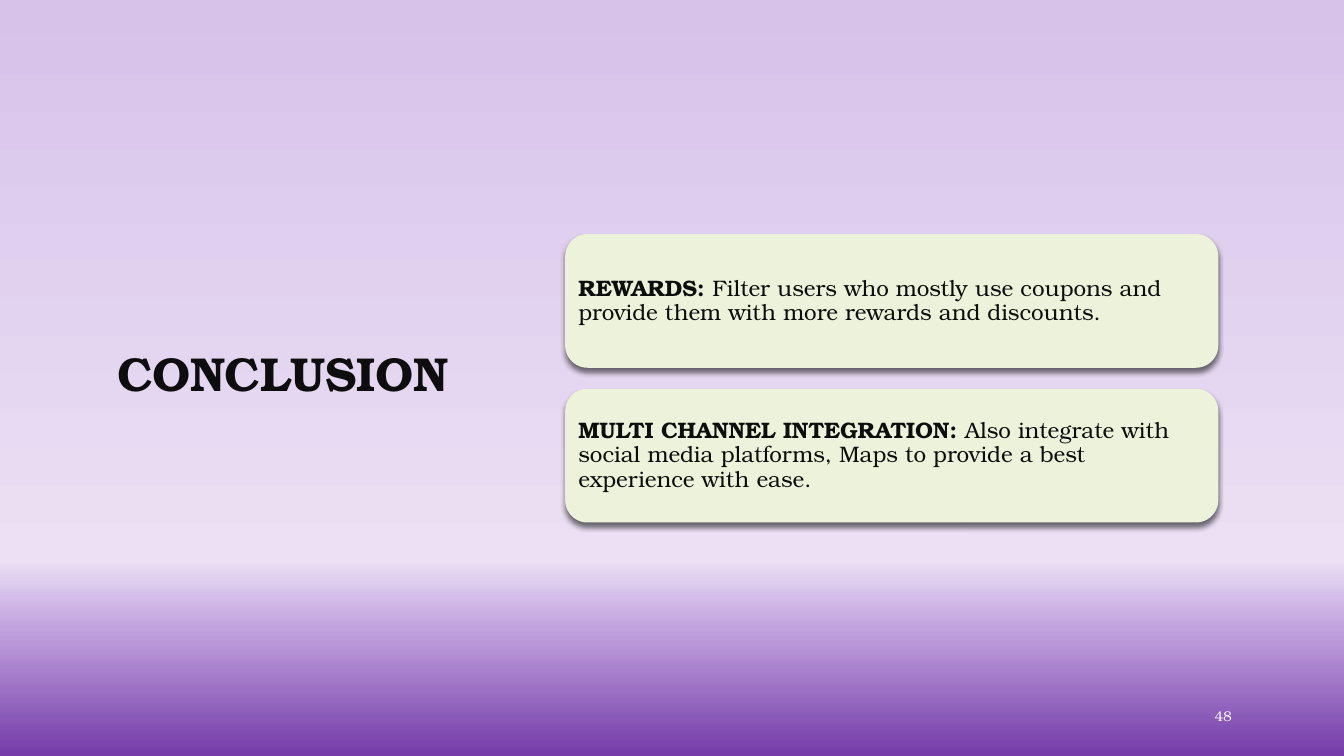
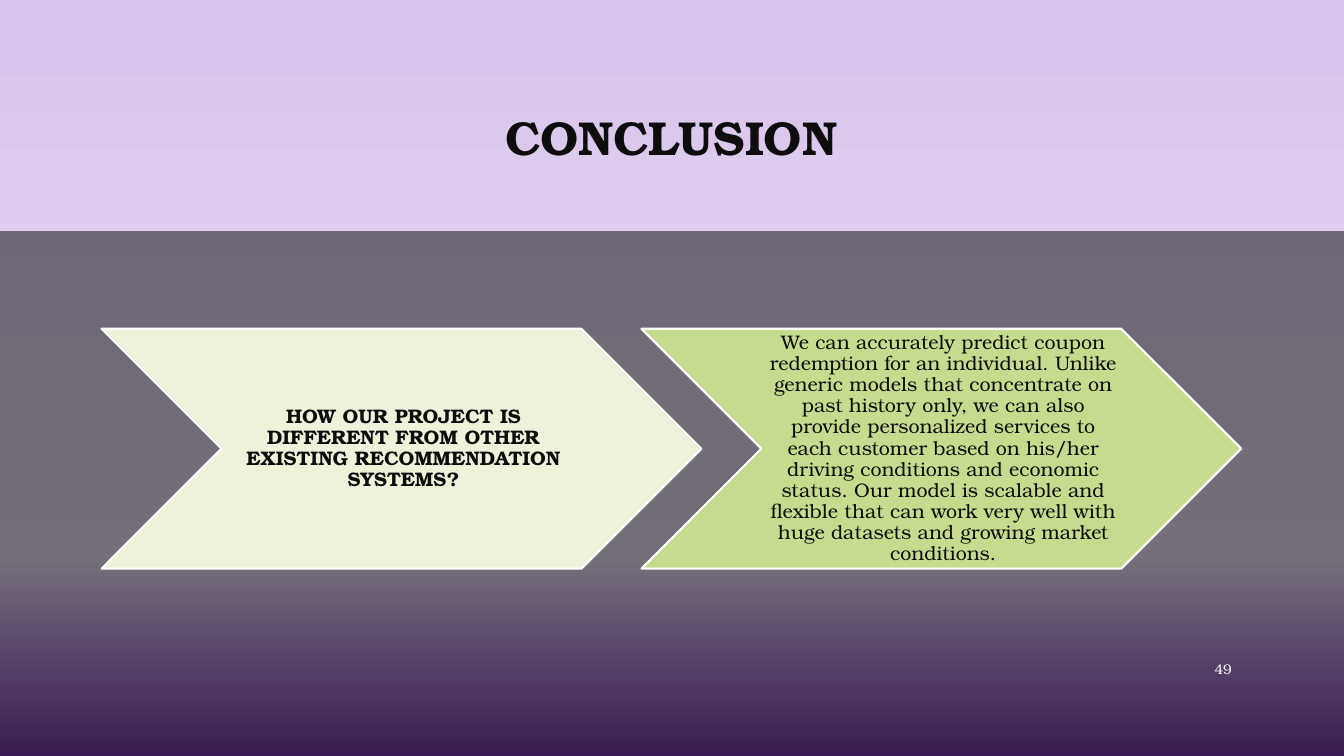
from dataclasses import dataclass, field
from typing import Any

from lxml import etree
from pptx import Presentation
from pptx import util as u
from pptx.dml import color as dml
from pptx.enum import shapes as es, text as et
from pptx.oxml import ns

Pt = u.Pt
FONT = "TeX Gyre Bonum"
HUES = {
    "ink": "0D0D0D",
    "white": "FFFFFF",
    "black": "000000",
    "pale": "ECF3DA",
    "lime": "C5DC8F",
}
FADE = [(0, "D7C2EA"), (74, "EBE0F4"), (83, "C2A3DF"), (100, "743BA9")]
MID, LEFT, RIGHT = et.PP_ALIGN.CENTER, et.PP_ALIGN.LEFT, et.PP_ALIGN.RIGHT
TITLE = {"size": Pt(34), "bold": True}
FOOT = {"size": Pt(10)}


@dataclass
class Box:
    left: float
    top: float
    width: float
    height: float

    def spots(self) -> list[Any]:
        return [Pt(v) for v in (self.left, self.top, self.width, self.height)]


@dataclass
class Words:
    runs: list[tuple[str, bool]]
    style: dict[str, Any]
    align: Any = MID
    pads: tuple[float, ...] = (7.2, 3.6, 7.2, 3.6)
    hue: str = "ink"
    para: dict[str, Any] = field(default_factory=lambda: {"line_spacing": 0.9})


def tint(name: str) -> dml.RGBColor:
    return dml.RGBColor.from_string(HUES[name])


def assign(item: Any, values: dict[str, Any]) -> None:
    for key, value in values.items():
        setattr(item, key, value)


def add(parent: Any, tag: str, **attrs: Any) -> Any:
    return etree.SubElement(parent, ns.qn(tag), {k: str(v) for k, v in attrs.items()})


def write(shape: Any, words: Words) -> None:
    frame = shape.text_frame
    sides = ("left", "top", "right", "bottom")
    pads = {f"margin_{side}": Pt(pad) for side, pad in zip(sides, words.pads)}
    assign(frame, {"word_wrap": True, "vertical_anchor": et.MSO_ANCHOR.MIDDLE, **pads})
    line = frame.paragraphs[0]
    assign(line, {"alignment": words.align, **words.para})
    for text, bold in words.runs:
        run = line.add_run()
        run.text = text
        assign(run.font, {"name": FONT, "bold": bold, **words.style})
        run.font.color.rgb = tint(words.hue)


def label(slide: Any, box: Box, words: Words) -> None:
    write(slide.shapes.add_textbox(*box.spots()), words)


def block(slide: Any, kind: Any, box: Box, hue: str, edge: float = 0) -> Any:
    shape = slide.shapes.add_shape(kind, *box.spots())
    shape.shadow.inherit = False
    shape.fill.solid()
    shape.fill.fore_color.rgb = tint(hue)
    if edge:
        shape.line.color.rgb = tint("white")
        shape.line.width = Pt(edge)
    else:
        shape.line.fill.background()
    return shape


def shade(shape: Any) -> None:
    effects = shape.element.spPr.find(ns.qn("a:effectLst"))
    cast = add(effects, "a:outerShdw", blurRad=int(Pt(4)), dist=int(Pt(3)),
               dir=5400000, algn="ctr", rotWithShape=0)
    add(add(cast, "a:srgbClr", val=HUES["black"]), "a:alpha", val=54000)


def fade(master: Any) -> None:
    fill = master.background.fill
    fill.gradient()
    fill.gradient_angle = 270
    stops = next(master.element.iter(ns.qn("a:gsLst")))
    for stop in list(stops):
        stops.remove(stop)
    for place, hue in FADE:
        add(add(stops, "a:gs", pos=place * 1000), "a:srgbClr", val=hue)


def number(slide: Any, top: float, value: int) -> None:
    label(slide, Box(828, top, 59, 29),
          Words([(str(value), False)], FOOT, RIGHT, hue="white", para={}))


def title(slide: Any, box: Box) -> None:
    label(slide, box, Words([("CONCLUSION", True)], TITLE))


def cards(slide: Any) -> None:
    title(slide, Box(59, 48, 286.5, 441.5))
    number(slide, 497, 48)
    points = [
        ("REWARDS: ", "Filter users who mostly use coupons and provide them "
         "with more rewards and discounts."),
        ("MULTI CHANNEL INTEGRATION: ", "Also integrate with social media "
         "platforms, Maps to provide a best experience with ease."),
    ]
    for row, (head, body) in enumerate(points):
        box = Box(403.7, 167.2 + row * 110.5, 466.5, 95.5)
        card = block(slide, es.MSO_SHAPE.ROUNDED_RECTANGLE, box, "pale")
        shade(card)
        write(card, Words([(head, True), (body, False)], {"size": Pt(16)},
                          LEFT, (4.8,) * 4))


def arrows(slide: Any) -> None:
    title(slide, Box(72, 48, 815, 104.5))
    band = block(slide, es.MSO_SHAPE.RECTANGLE, Box(0, 165, 960, 375), "black")
    paint = next(band.element.spPr.iter(ns.qn("a:srgbClr")))
    add(paint, "a:alpha", val=50000)
    number(slide, 463, 49)
    steps = [
        ("pale", True, "HOW OUR PROJECT IS DIFFERENT FROM OTHER EXISTING "
         "RECOMMENDATION SYSTEMS?"),
        ("lime", False, "We can accurately predict coupon redemption for an "
         "individual. Unlike generic models that concentrate on past history "
         "only, we can also provide personalized services to each customer "
         "based on his/her driving conditions and economic status. Our model "
         "is scalable and flexible that can work very well with huge datasets "
         "and growing market conditions."),
    ]
    width = 428.4
    for col, (hue, bold, body) in enumerate(steps):
        box = Box(72.6 + col * width * 0.9, 234.8, width, width * 0.4)
        step = block(slide, es.MSO_SHAPE.CHEVRON, box, hue, 1.5)
        write(step, Words([(body, bold)], {"size": Pt(14)},
                          pads=(4.4, 1.5, 1.5, 1.5)))


def main() -> None:
    deck = Presentation()
    assign(deck, {"slide_width": Pt(960), "slide_height": Pt(540)})
    fade(deck.slide_master)
    for draw in (cards, arrows):
        draw(deck.slides.add_slide(deck.slide_layouts[6]))
    deck.save("out.pptx")


if __name__ == "__main__":
    main()
